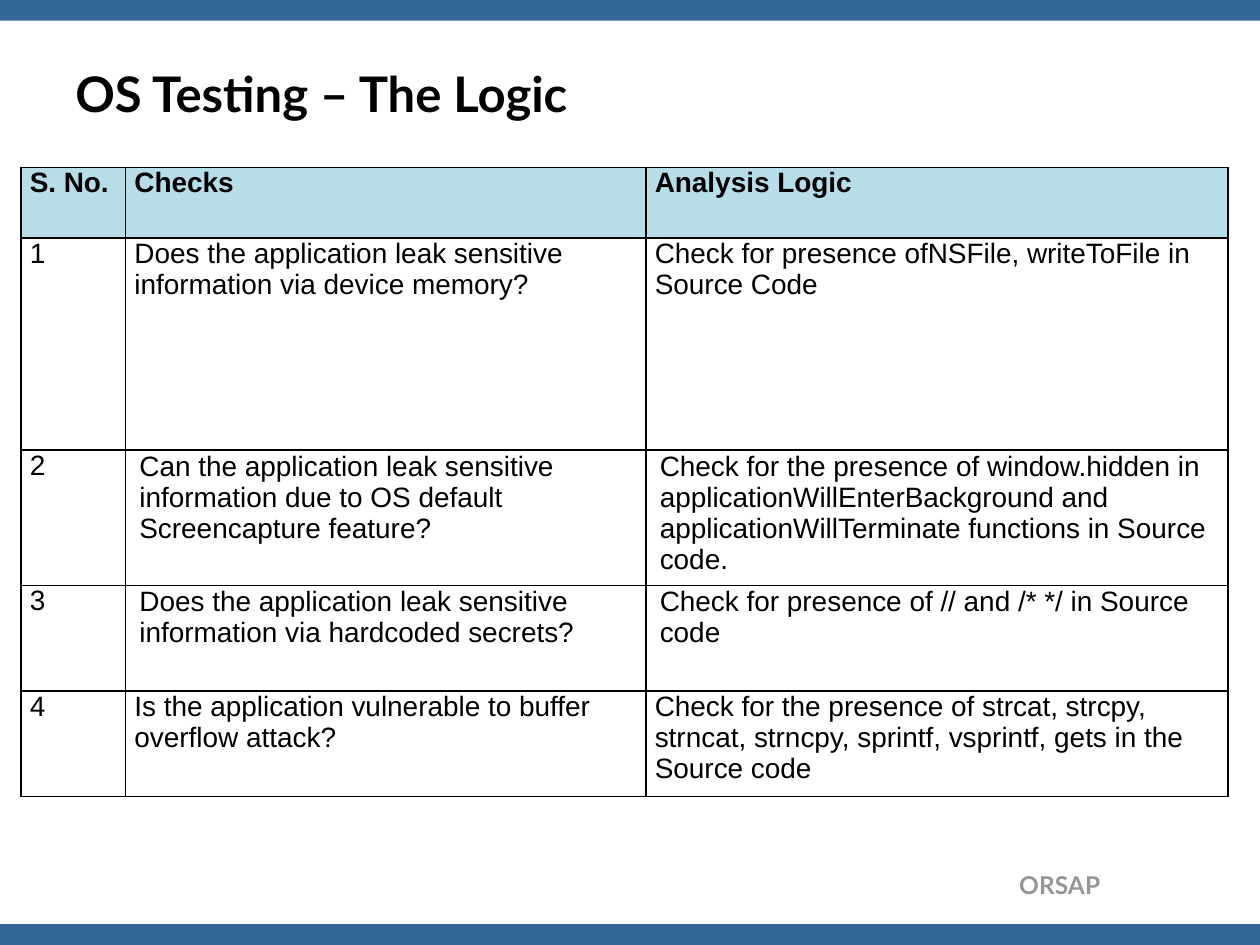
"""Build the slide on app test checks and their logic."""
from pptx import Presentation
from pptx.dml.color import RGBColor
from pptx.enum.shapes import MSO_SHAPE
from pptx.enum.text import MSO_ANCHOR, PP_ALIGN
from pptx.oxml import parse_xml
from pptx.oxml.ns import nsdecls
from pptx.util import Cm, Pt

BLUE = RGBColor(0x33, 0x66, 0x99)
PALE = RGBColor(0xB6, 0xDD, 0xE8)
GREY = RGBColor(0x96, 0x96, 0x96)
BLACK = RGBColor(0, 0, 0)

TITLE = "OS Testing – The Logic"
FOOTER = "ORSAP"
HEADS = ["S. No.", "Checks", "Analysis Logic"]
CHECKS = [
    ("Does the application leak sensitive information via device memory?",
     "Check for presence ofNSFile, writeToFile in Source Code"),
    ("Can the application leak sensitive information due to OS default "
     "Screencapture feature?",
     "Check for the presence of window.hidden in applicationWillEnterBackground "
     "and applicationWillTerminate functions in Source code."),
    ("Does the application leak sensitive information via hardcoded secrets?",
     "Check for presence of // and /* */ in Source code"),
    ("Is the application vulnerable to buffer overflow attack?",
     "Check for the presence of strcat, strcpy, strncat, strncpy, sprintf, "
     "vsprintf, gets in the Source code"),
]
INSET = {2, 3}
WIDTHS = [2.11, 10.49, 11.73]
HEIGHTS = [1.42, 4.27, 2.13, 2.13, 2.13]
WIDE, HIGH, BAND = 25.4, 19.05, 0.42


def write(frame, text, size, font, color, bold):
    run = frame.paragraphs[0].add_run()
    run.text = text
    run.font.size, run.font.name, run.font.bold = Pt(size), font, bold
    run.font.color.rgb = color


def add_band(slide, top):
    band = slide.shapes.add_shape(
        MSO_SHAPE.RECTANGLE, 0, Cm(top), Cm(WIDE), Cm(BAND))
    band.shadow.inherit = False
    band.fill.solid()
    band.fill.fore_color.rgb = BLUE
    band.line.fill.background()


def add_label(slide, box, text, size, color, align, anchor):
    frame = slide.shapes.add_textbox(*map(Cm, box)).text_frame
    frame.word_wrap = True
    frame.vertical_anchor = anchor
    frame.paragraphs[0].alignment = align
    write(frame, text, size, "Lato", color, True)


def add_lines(cell):
    props = cell._tc.get_or_add_tcPr()
    for side in "LRTB":
        props.append(parse_xml(
            f'<a:ln{side} {nsdecls("a")} w="12700"><a:solidFill>'
            f'<a:srgbClr val="{BLACK}"/></a:solidFill></a:ln{side}>'))


def add_grid(slide):
    rows = [HEADS] + [(str(n), *row) for n, row in enumerate(CHECKS, 1)]
    table = slide.shapes.add_table(
        len(rows), len(HEADS), Cm(0.42), Cm(3.38),
        Cm(sum(WIDTHS)), Cm(sum(HEIGHTS))).table
    table.horz_banding = False
    for col, width in zip(table.columns, WIDTHS):
        col.width = Cm(width)
    for r, (row, height) in enumerate(zip(rows, HEIGHTS)):
        table.rows[r].height = Cm(height)
        for c, text in enumerate(row):
            cell = table.cell(r, c)
            deep = r in INSET and c > 0
            cell.margin_left = Cm(0.28 if deep else 0.18)
            cell.margin_top = cell.margin_right = Cm(0.02 if deep else 0)
            cell.margin_bottom = 0
            add_lines(cell)
            if r == 0:
                cell.fill.solid()
                cell.fill.fore_color.rgb = PALE
            else:
                cell.fill.background()
            write(cell.text_frame, text, 16, "Arial", BLACK, r == 0)


def main():
    deck = Presentation()
    deck.slide_width, deck.slide_height = Cm(WIDE), Cm(HIGH)
    slide = deck.slides.add_slide(deck.slide_layouts[6])
    for top in (0, HIGH - BAND):
        add_band(slide, top)
    add_label(slide, (15.8, 17.42, 6.63, 0.86), FOOTER, 14, GREY,
              PP_ALIGN.RIGHT, MSO_ANCHOR.TOP)
    add_label(slide, (1.27, 0.76, 22.86, 2.21), TITLE, 28, BLACK,
              PP_ALIGN.LEFT, MSO_ANCHOR.MIDDLE)
    add_grid(slide)
    deck.save("out.pptx")


if __name__ == "__main__":
    main()
